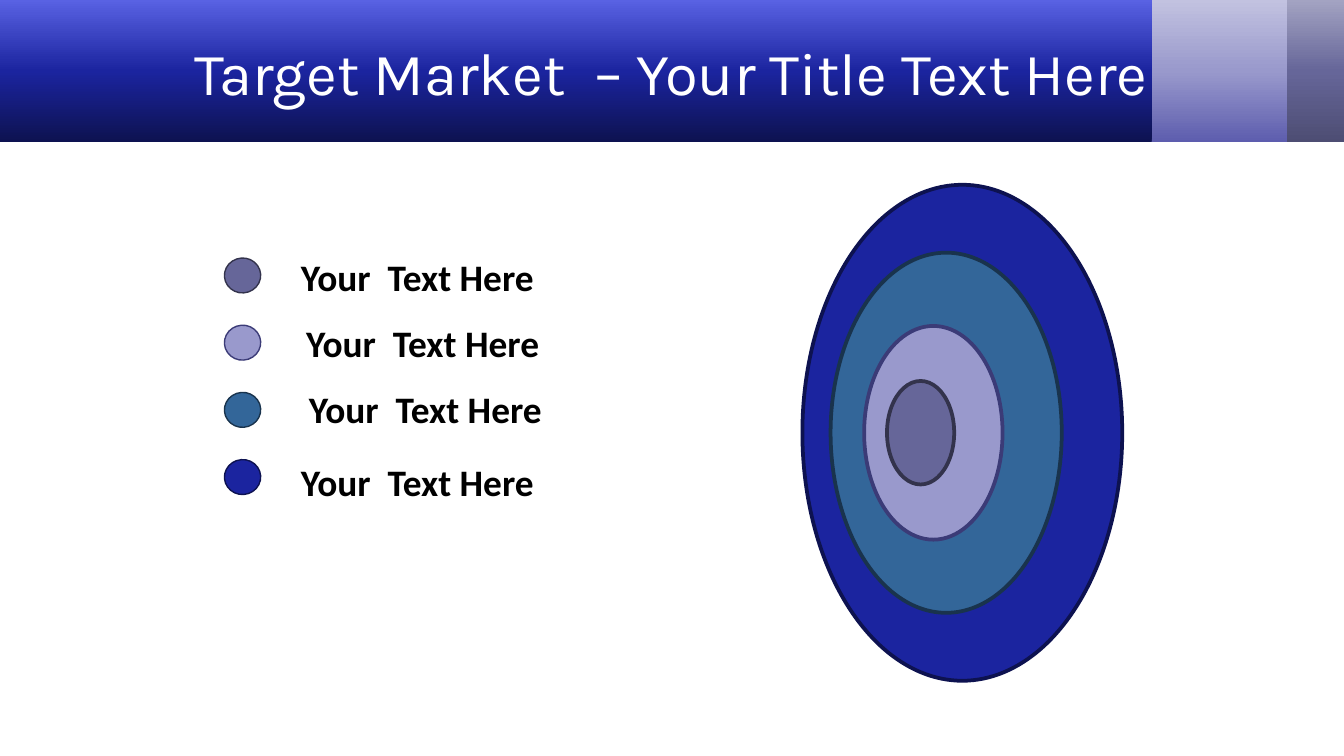
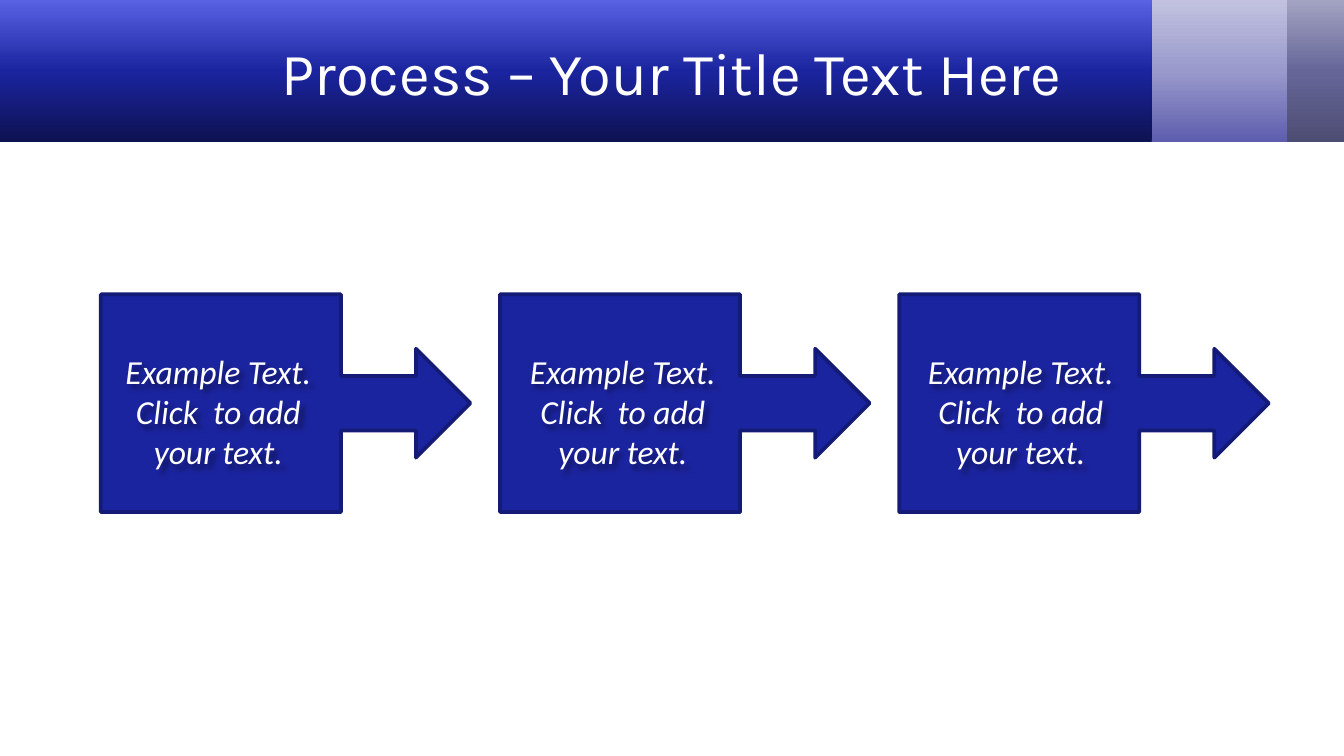
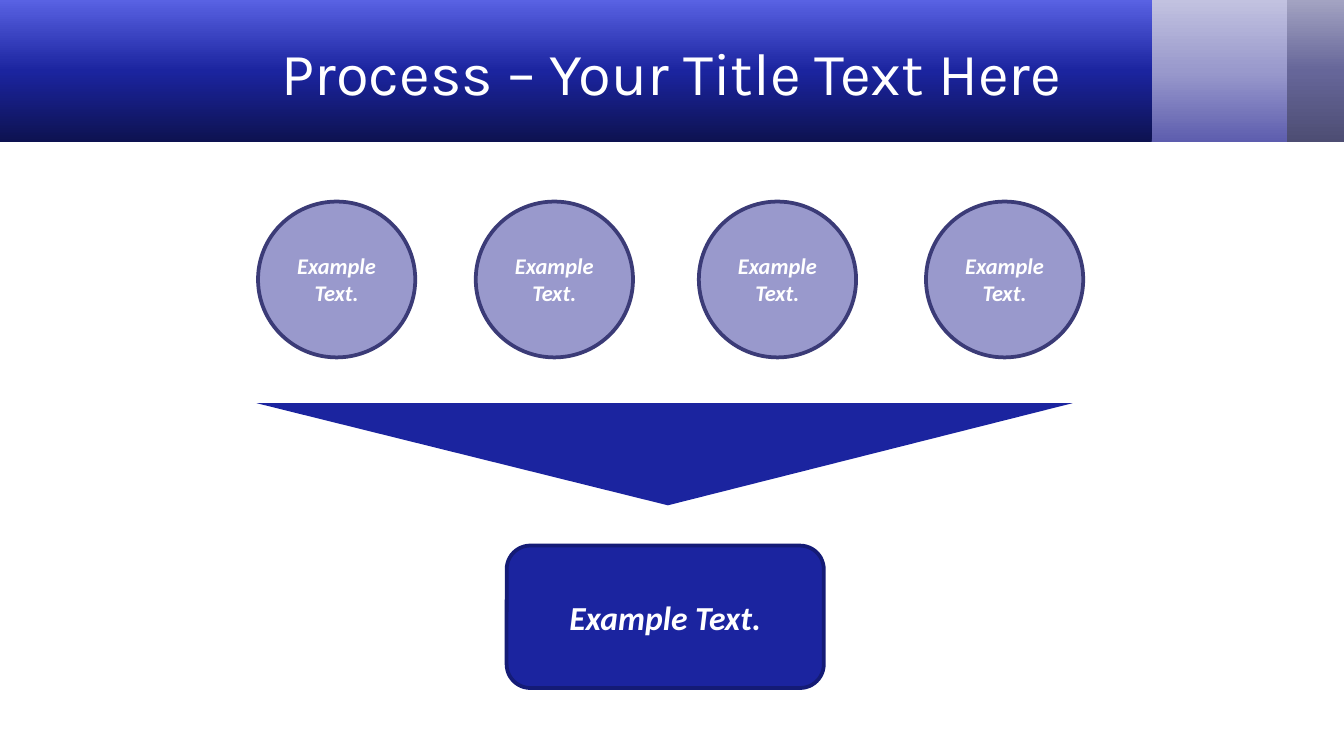
from lxml import etree
from pptx import Presentation
from pptx.dml.color import RGBColor
from pptx.enum.shapes import MSO_SHAPE
from pptx.enum.text import MSO_ANCHOR, MSO_AUTO_SIZE, PP_ALIGN
from pptx.oxml import parse_xml
from pptx.oxml.ns import nsdecls, qn
from pptx.util import Inches, Pt

RECTANGLE = MSO_SHAPE.RECTANGLE
ELLIPSE = MSO_SHAPE.OVAL
ROUNDED = MSO_SHAPE.ROUNDED_RECTANGLE
TRIANGLE = MSO_SHAPE.ISOSCELES_TRIANGLE
ARROW_CALLOUT = MSO_SHAPE.RIGHT_ARROW_CALLOUT
MIDDLE, TOP = MSO_ANCHOR.MIDDLE, MSO_ANCHOR.TOP
LEFT, CENTER = PP_ALIGN.LEFT, PP_ALIGN.CENTER
FIT_SHAPE = MSO_AUTO_SIZE.SHAPE_TO_FIT_TEXT

TITLE_FONT, BODY_FONT = "Karla", "Calibri"
WHITE, BLACK = "FFFFFF", "000000"
NAVY, NAVY_DARK, NAVY_EDGE = "1B249F", "0D1250", "141B76"
TEAL, TEAL_DARK = "336699", "19334D"
LILAC, LILAC_DARK = "9999CC", "3B3B77"
SLATE, SLATE_DARK = "666699", "33334C"

BANDS = [
    (9.43, 0.58, ("4D4D73", SLATE, "A3A3C2")),
    (8.53, 1.05, ("5D5DAE", LILAC, "C2C2E0")),
    (0, 8.57, (NAVY_DARK, NAVY, "5962E3")),
]
BAND_HEIGHT = 1.06


def color(hex_value):
    return RGBColor.from_string(hex_value)


def add_figure(shapes, kind, box, fill, line=None, line_width=2):
    shape = shapes.add_shape(kind, *map(Inches, box))
    shape.shadow.inherit = False
    shape.fill.solid()
    shape.fill.fore_color.rgb = color(fill)
    if line:
        shape.line.color.rgb = color(line)
        shape.line.width = Pt(line_width)
    else:
        shape.line.fill.background()
    return shape


def fill_upward_gradient(shape, colors):
    shape.fill.gradient()
    shape.fill.gradient_angle = 90
    stops = shape._element.spPr.find(qn("a:gradFill")).find(qn("a:gsLst"))
    for stop in list(stops):
        stops.remove(stop)
    for index, hex_value in enumerate(colors):
        stop = etree.SubElement(stops, qn("a:gs"), pos=str(index * 50000))
        etree.SubElement(stop, qn("a:srgbClr"), val=hex_value)


def add_text_shadow(text_box):
    text_box._element.spPr.append(parse_xml(
        f'<a:effectLst {nsdecls("a")}>'
        '<a:outerShdw blurRad="38100" dist="38100" dir="2700000" algn="tl">'
        '<a:srgbClr val="000000"><a:alpha val="43000"/></a:srgbClr>'
        '</a:outerShdw></a:effectLst>'))


def write_text(shape, lines, size, hex_value=WHITE, font=BODY_FONT, align=CENTER,
               anchor=MIDDLE, bold=False, italic=False):
    frame = shape.text_frame
    frame.word_wrap = True
    frame.vertical_anchor = anchor
    for index, text in enumerate(lines):
        paragraph = frame.add_paragraph() if index else frame.paragraphs[0]
        paragraph.alignment = align
        run = paragraph.add_run()
        run.text = text
        run.font.name = font
        run.font.size = Pt(size)
        run.font.bold = bold
        run.font.italic = italic
        run.font.color.rgb = color(hex_value)


def add_text_box(slide, box, lines, size, **style):
    text_box = slide.shapes.add_textbox(*map(Inches, box))
    write_text(text_box, lines, size, **style)
    return text_box


def add_titled_slide(presentation, title):
    slide = presentation.slides.add_slide(presentation.slide_layouts[6])
    for left, width, colors in BANDS:
        band = add_figure(slide.shapes, RECTANGLE,
                          (left, 0, width, BAND_HEIGHT), colors[1])
        fill_upward_gradient(band, colors)
    add_text_box(slide, (0.5, 0.06, 9, 0.94), [title], 32, font=TITLE_FONT)
    return slide


def add_target(slide, rings):
    group = slide.shapes.add_group_shape()
    for left, width, height, fill, line in rings:
        add_figure(group.shapes, ELLIPSE,
                   (left, 3.22 - height / 2, width, height), fill, line)


def add_legend_label(slide, left, top):
    label = add_text_box(slide, (left, top, 2.98, 0.49), ["Your  Text Here"], 20,
                         hex_value=BLACK, align=LEFT, bold=True)
    label.text_frame.margin_top = Inches(0.1)
    label.text_frame.auto_size = FIT_SHAPE


def add_legend_marker(slide, top, fill, line):
    marker = add_figure(slide.shapes, ELLIPSE, (1.67, top, 0.27, 0.26),
                        fill, line, 0.75)
    marker.rotation = 355.8


def build_target_market(presentation):
    slide = add_titled_slide(presentation, "Target Market  – Your Title Text Here")
    add_target(slide, [
        (5.97, 2.38, 3.69, NAVY, NAVY_DARK),
        (6.18, 1.72, 2.68, TEAL, TEAL_DARK),
        (6.43, 1.03, 1.59, LILAC, LILAC_DARK),
        (6.6, 0.5, 0.77, SLATE, SLATE_DARK),
    ])
    for left, top in ((2.14, 1.79), (2.14, 3.31), (2.18, 2.28), (2.2, 2.77)):
        add_legend_label(slide, left, top)
    markers = [(SLATE, SLATE_DARK), (LILAC, LILAC_DARK),
               (TEAL, TEAL_DARK), (NAVY, NAVY_DARK)]
    for index, (fill, line) in enumerate(markers):
        add_legend_marker(slide, 1.92 + 0.5 * index, fill, line)


def build_arrow_process(presentation):
    slide = add_titled_slide(presentation, "Process – Your Title Text Here")
    text_lefts = (0.75, 3.76, 6.72)
    for index in range(len(text_lefts)):
        add_figure(slide.shapes, ARROW_CALLOUT,
                   (0.75 + 2.97 * index, 2.19, 2.75, 1.62), NAVY, NAVY_EDGE)
    for left in text_lefts:
        step_text = add_text_box(
            slide, (left, 2.56, 1.75, 1.01),
            ["Example Text.", "Click  to add your text."], 18,
            anchor=TOP, italic=True)
        step_text.text_frame.auto_size = FIT_SHAPE
        add_text_shadow(step_text)


def build_converging_process(presentation):
    slide = add_titled_slide(presentation, "Process – Your Title Text Here")
    funnel = add_figure(slide.shapes, TRIANGLE, (1.91, 3, 6.07, 0.76), NAVY)
    funnel.rotation = 180
    funnel.adjustments[0] = 0.496
    for left in (1.92, 3.54, 5.2, 6.89):
        circle = add_figure(slide.shapes, ELLIPSE, (left, 1.5, 1.17, 1.16),
                            LILAC, LILAC_DARK)
        write_text(circle, ["Example Text."], 12, bold=True, italic=True)
    result = add_figure(slide.shapes, ROUNDED, (3.77, 4.06, 2.36, 1.06),
                        NAVY, NAVY_EDGE)
    write_text(result, ["Example Text."], 18, bold=True, italic=True)


def main():
    presentation = Presentation()
    presentation.slide_width = Inches(10)
    presentation.slide_height = Inches(10 * 9 / 16)
    build_target_market(presentation)
    build_arrow_process(presentation)
    build_converging_process(presentation)
    presentation.save("out.pptx")


if __name__ == "__main__":
    main()
